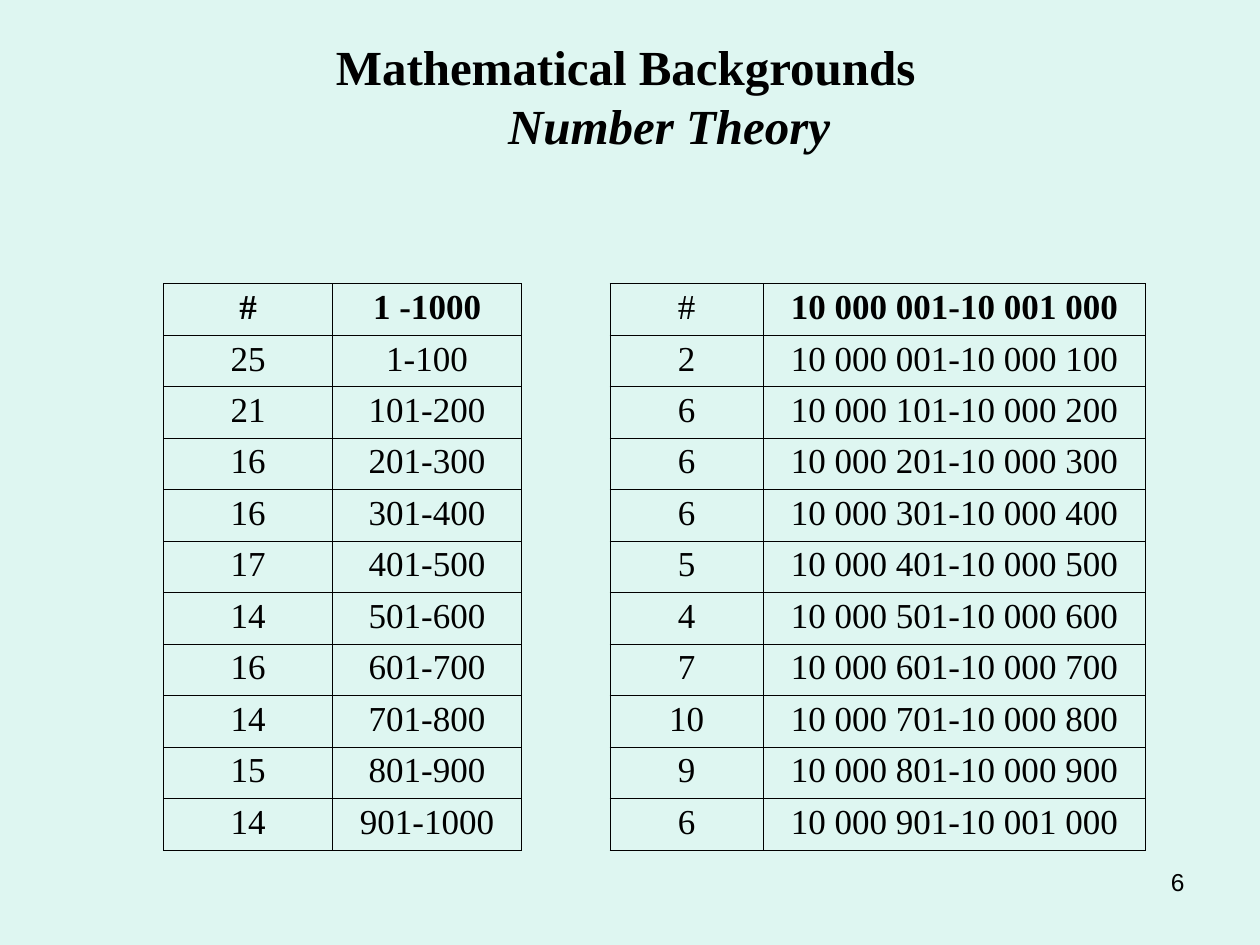
from lxml import etree
from pptx import Presentation
from pptx.dml.color import RGBColor
from pptx.enum.text import MSO_ANCHOR, PP_ALIGN
from pptx.oxml.ns import qn
from pptx.util import Inches, Pt

CENTER, RIGHT = PP_ALIGN.CENTER, PP_ALIGN.RIGHT
TOP = MSO_ANCHOR.TOP
MINT = RGBColor(0xDE, 0xF6, 0xF1)
BLACK = RGBColor(0, 0, 0)
SERIF, SANS = "Times New Roman", "Arial"

# Content
TITLE = "Mathematical Backgrounds"
SUBTITLE = "Number Theory"
PAGE_NUMBER = "6"
PRIME_TABLES = [
    {
        "left": 1.3, "columns": (1.34, 1.5), "bold_header": (True, True),
        "rows": [
            ("#", "1 -1000"), ("25", "1-100"), ("21", "101-200"),
            ("16", "201-300"), ("16", "301-400"), ("17", "401-500"),
            ("14", "501-600"), ("16", "601-700"), ("14", "701-800"),
            ("15", "801-900"), ("14", "901-1000"),
        ],
    },
    {
        "left": 4.84, "columns": (1.22, 3.03), "bold_header": (False, True),
        "rows": [
            ("#", "10 000 001-10 001 000"),
            ("2", "10 000 001-10 000 100"), ("6", "10 000 101-10 000 200"),
            ("6", "10 000 201-10 000 300"), ("6", "10 000 301-10 000 400"),
            ("5", "10 000 401-10 000 500"), ("4", "10 000 501-10 000 600"),
            ("7", "10 000 601-10 000 700"), ("10", "10 000 701-10 000 800"),
            ("9", "10 000 801-10 000 900"), ("6", "10 000 901-10 001 000"),
        ],
    },
]
TABLE_TOP, ROW_HEIGHT = 2.25, 0.33
CELL_PADDING = Pt(2.7)
BORDER_WIDTH = Pt(0.45)


def add_span(para, text, size, font=SERIF, bold=False, italic=False, align=CENTER):
    para.alignment = align
    span = para.add_run()
    span.text = text
    span.font.size = Pt(size)
    span.font.name = font
    span.font.bold = bold
    span.font.italic = italic
    span.font.color.rgb = BLACK


def add_borders(cell):
    properties = cell._tc.get_or_add_tcPr()
    for position, side in enumerate(("lnL", "lnR", "lnT", "lnB")):
        line = etree.Element(qn(f"a:{side}"), w=str(BORDER_WIDTH))
        fill = etree.SubElement(line, qn("a:solidFill"))
        etree.SubElement(fill, qn("a:srgbClr"), val=str(BLACK))
        properties.insert(position, line)


def add_prime_table(page, data):
    rows, columns = data["rows"], data["columns"]
    frame = page.shapes.add_table(
        len(rows), len(columns), Inches(data["left"]), Inches(TABLE_TOP),
        Inches(sum(columns)), Inches(ROW_HEIGHT * len(rows)))
    table = frame.table
    table.first_row = table.horz_banding = False
    for column, width in zip(table.columns, columns):
        column.width = Inches(width)
    for row_index, row in enumerate(rows):
        table.rows[row_index].height = Inches(ROW_HEIGHT)
        for column_index, text in enumerate(row):
            cell = table.cell(row_index, column_index)
            cell.margin_left = cell.margin_right = Inches(0.08)
            cell.margin_top = cell.margin_bottom = CELL_PADDING
            cell.fill.background()
            add_borders(cell)
            bold = row_index == 0 and data["bold_header"][column_index]
            add_span(cell.text_frame.paragraphs[0], text, 20, bold=bold)


def add_title(page):
    box = page.shapes.title
    box.left, box.top = Inches(2.49), Inches(0.24)
    box.width, box.height = Inches(5.75), Inches(1.04)
    frame = box.text_frame
    frame.word_wrap = True
    frame.vertical_anchor = TOP
    frame.margin_right = Inches(0.9)
    first, second = frame.paragraphs[0], frame.add_paragraph()
    for para in (first, second):
        para.line_spacing = 1.0
        para.space_before = Pt(0)
    add_span(first, TITLE, 28, bold=True)
    add_span(second, SUBTITLE, 28, bold=True, italic=True)
    # The second line is indented, so its centre sits further right
    second._p.get_or_add_pPr().set("marL", str(Inches(0.69)))


def add_page_number(page):
    box = page.shapes.add_textbox(Inches(7.17), Inches(6.83), Inches(2.33), Inches(0.52))
    box.text_frame.word_wrap = True
    add_span(box.text_frame.paragraphs[0], PAGE_NUMBER, 14, font=SANS, align=RIGHT)


def main():
    deck = Presentation()
    deck.slide_width, deck.slide_height = Inches(10), Inches(7.5)
    page = deck.slides.add_slide(deck.slide_layouts[5])
    page.background.fill.solid()
    page.background.fill.fore_color.rgb = MINT
    add_page_number(page)
    for data in PRIME_TABLES:
        add_prime_table(page, data)
    add_title(page)
    deck.save("out.pptx")


if __name__ == "__main__":
    main()
